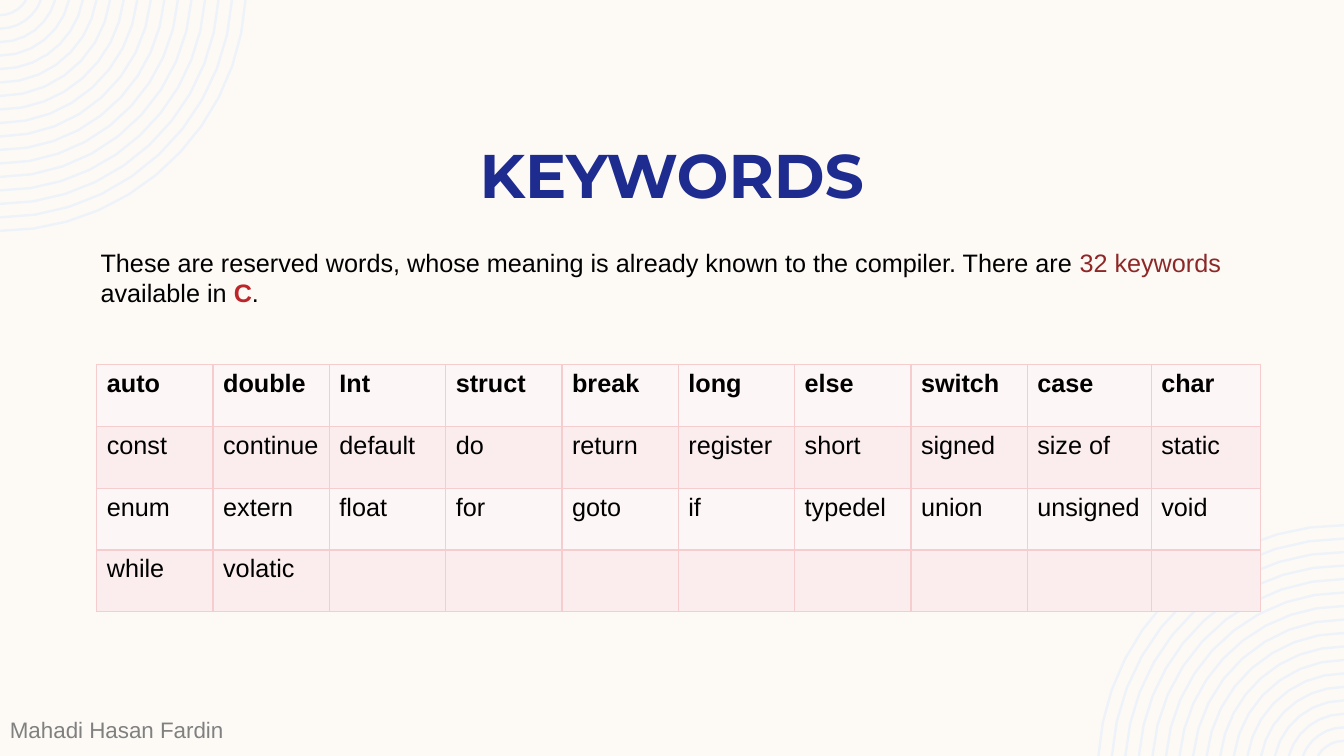
from dataclasses import dataclass
from math import asin, ceil, cos, pi, sin

from lxml.etree import SubElement
from pptx import Presentation
from pptx.dml.color import RGBColor
from pptx.enum.text import MSO_ANCHOR as Anchor, PP_ALIGN as Align
from pptx.oxml.ns import qn
from pptx.slide import Slide
from pptx.table import _Cell as Cell
from pptx.text.text import TextFrame
from pptx.util import Inches, Pt

SLIDE_W, SLIDE_H = 13.33, 7.5


@dataclass(frozen=True)
class Theme:
    background: str = "FDFAF6"
    rings: str = "EEF3FA"
    title: str = "1F2C8F"
    text: str = "000000"
    count: str = "8D2828"
    language: str = "BC2529"
    footer: str = "808080"
    border: str = "F5CDCE"
    bands: tuple[str, str] = ("FDF6F6", "FBEDED")
    title_font: str = "Montserrat"
    body_font: str = "Arial"
    title_size: float = 44
    body_size: float = 18
    footer_size: float = 16


@dataclass(frozen=True)
class Box:
    left: float
    top: float
    width: float
    height: float


@dataclass(frozen=True)
class Rings:
    """Concentric rings whose centre lies just beyond a slide corner."""
    count: int = 17
    radius: float = 2.44
    pitch: float = 2.14 / 16
    stroke: float = 1.75
    offset: float = 0.15


THEME = Theme()
RINGS = Rings()
KEYWORDS = [
    "auto double Int struct break long else switch case char".split(),
    ["const", "continue", "default", "do", "return",
     "register", "short", "signed", "size of", "static"],
    "enum extern float for goto if typedel union unsigned void".split(),
    "while volatic".split(),
]


def rgb(color: str) -> RGBColor:
    return RGBColor.from_string(color)


def write(tf: TextFrame, text: str, *, size: float = THEME.body_size,
          font: str = THEME.body_font, color: str = THEME.text,
          bold: bool = False, align: Align = Align.LEFT,
          line: float | None = None) -> None:
    """Append a formatted run to the first paragraph."""
    p = tf.paragraphs[0]
    p.alignment = align
    if line:
        p.line_spacing = Pt(line)
    r = p.add_run()
    r.text = text
    r.font.name, r.font.size, r.font.bold = font, Pt(size), bold
    r.font.color.rgb = rgb(color)


def add_text_box(slide: Slide, box: Box, anchor: Anchor = Anchor.TOP) -> TextFrame:
    sp = slide.shapes.add_textbox(Inches(box.left), Inches(box.top),
                                  Inches(box.width), Inches(box.height))
    tf = sp.text_frame
    tf.word_wrap = True
    tf.vertical_anchor = anchor
    return tf


def arc(radius: float) -> list[tuple[float, float]]:
    """Points from the top slide edge round to the left slide edge."""
    steps = 4 + ceil(2.5 * radius)
    start = asin(RINGS.offset / radius)
    angles = [start + (pi / 2 - start) * i / steps for i in range(steps + 1)]
    return [(radius * cos(a), radius * sin(a) - RINGS.offset) for a in angles]


def add_rings(slide: Slide, bottom_right: bool) -> None:
    builder = None
    for i in range(RINGS.count):
        points = arc(RINGS.radius - i * RINGS.pitch)
        if bottom_right:
            points = [(SLIDE_W - x, SLIDE_H - y) for x, y in points]
        start, *rest = [(Inches(x), Inches(y)) for x, y in points]
        if builder is None:
            builder = slide.shapes.build_freeform(*start)
        else:
            builder.move_to(*start)
        builder.add_line_segments(rest, close=False)
    sp = builder.convert_to_shape()
    sp.shadow.inherit = False
    sp.fill.background()
    sp.line.color.rgb = rgb(THEME.rings)
    sp.line.width = Pt(RINGS.stroke)


def style_cell(cell: Cell, fill: str) -> None:
    cell.fill.solid()
    cell.fill.fore_color.rgb = rgb(fill)
    # Borders precede the fill in the cell properties
    tc_pr = cell._tc.get_or_add_tcPr()
    for i, side in enumerate(("lnL", "lnR", "lnT", "lnB")):
        ln = SubElement(tc_pr, qn(f"a:{side}"), w=str(Pt(1)))
        solid = SubElement(ln, qn("a:solidFill"))
        SubElement(solid, qn("a:srgbClr"), val=THEME.border)
        tc_pr.insert(i, ln)


def add_keyword_table(slide: Slide, box: Box) -> None:
    rows, cols = len(KEYWORDS), len(KEYWORDS[0])
    last_widths = [1.23, 1.08]
    equal = (box.width - sum(last_widths)) / (cols - len(last_widths))
    widths = [equal] * (cols - len(last_widths)) + last_widths
    table = slide.shapes.add_table(
        rows, cols, Inches(box.left), Inches(box.top),
        Inches(box.width), Inches(box.height)).table
    table.first_row = table.horz_banding = False
    for column, width in zip(table.columns, widths):
        column.width = Inches(width)
    for r in range(rows):
        for c in range(cols):
            cell = table.cell(r, c)
            style_cell(cell, THEME.bands[r % 2])
            if c < len(KEYWORDS[r]):
                write(cell.text_frame, KEYWORDS[r][c], bold=r == 0)


def main() -> None:
    prs = Presentation()
    prs.slide_width, prs.slide_height = Inches(SLIDE_W), Inches(SLIDE_H)
    slide = prs.slides.add_slide(prs.slide_layouts[6])
    slide.background.fill.solid()
    slide.background.fill.fore_color.rgb = rgb(THEME.background)

    # Corner decoration
    for bottom_right in (False, True):
        add_rings(slide, bottom_right)

    # Title
    tf = add_text_box(slide, Box(0.83, 1.33, 11.67, 0.84), Anchor.MIDDLE)
    write(tf, "KEYWORDS", size=THEME.title_size, font=THEME.title_font,
          color=THEME.title, bold=True, align=Align.CENTER, line=48.8)

    # Introduction
    tf = add_text_box(slide, Box(0.9, 2.4, 11.54, 0.71))
    write(tf, "These are reserved words, whose meaning is already known "
              "to the compiler. There are ")
    write(tf, "32 keywords ", color=THEME.count)
    write(tf, "available in ")
    write(tf, "C", color=THEME.language, bold=True)
    write(tf, ".")

    # Keyword table
    add_keyword_table(slide, Box(0.96, 3.62, 11.54, 2.45))

    # Footer
    tf = add_text_box(slide, Box(0, 7.06, 6.67, 0.37))
    write(tf, "Mahadi Hasan Fardin", size=THEME.footer_size, color=THEME.footer)

    prs.save("out.pptx")


if __name__ == "__main__":
    main()
